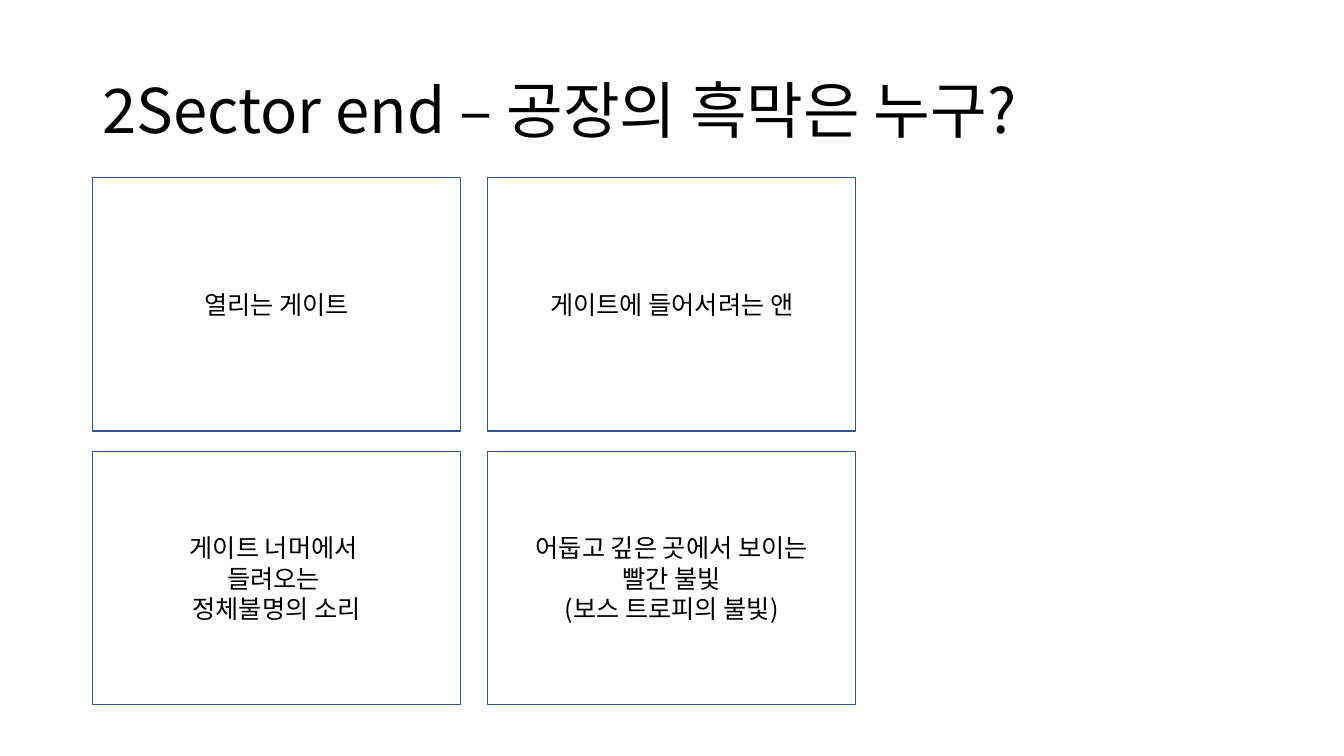
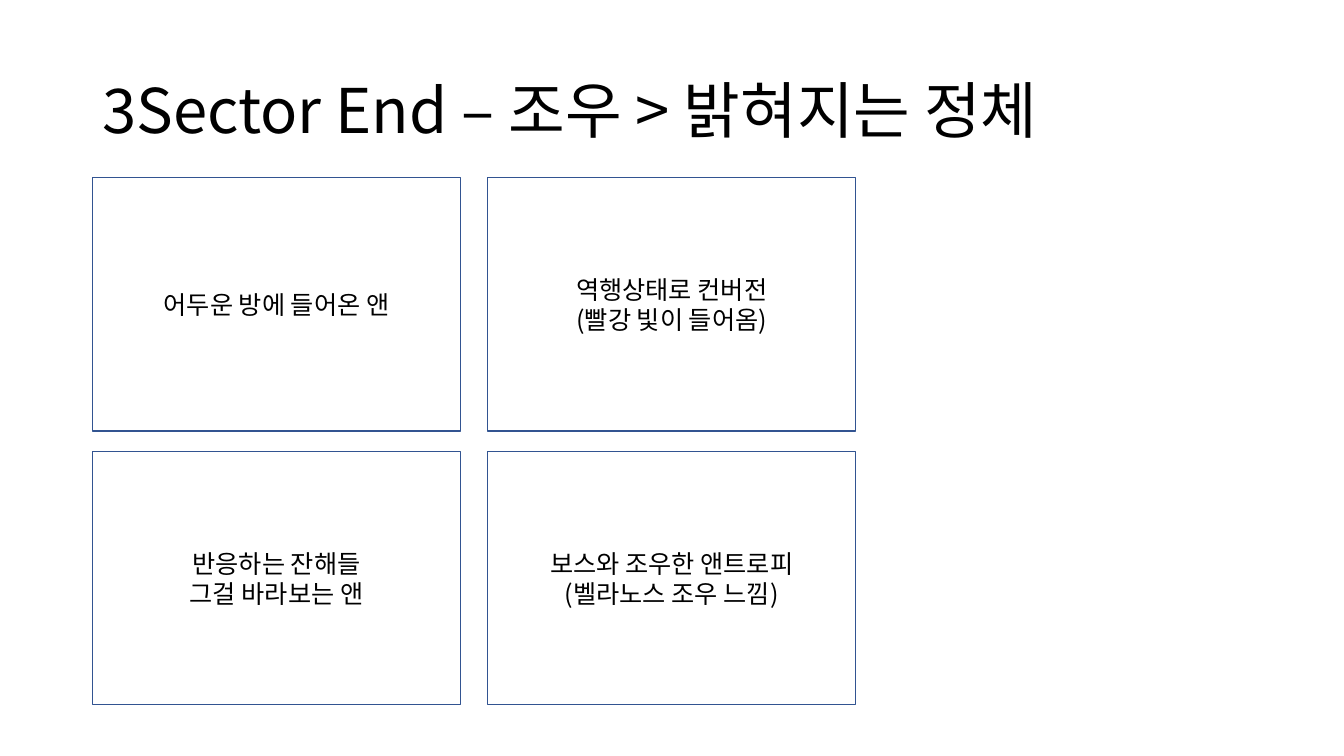
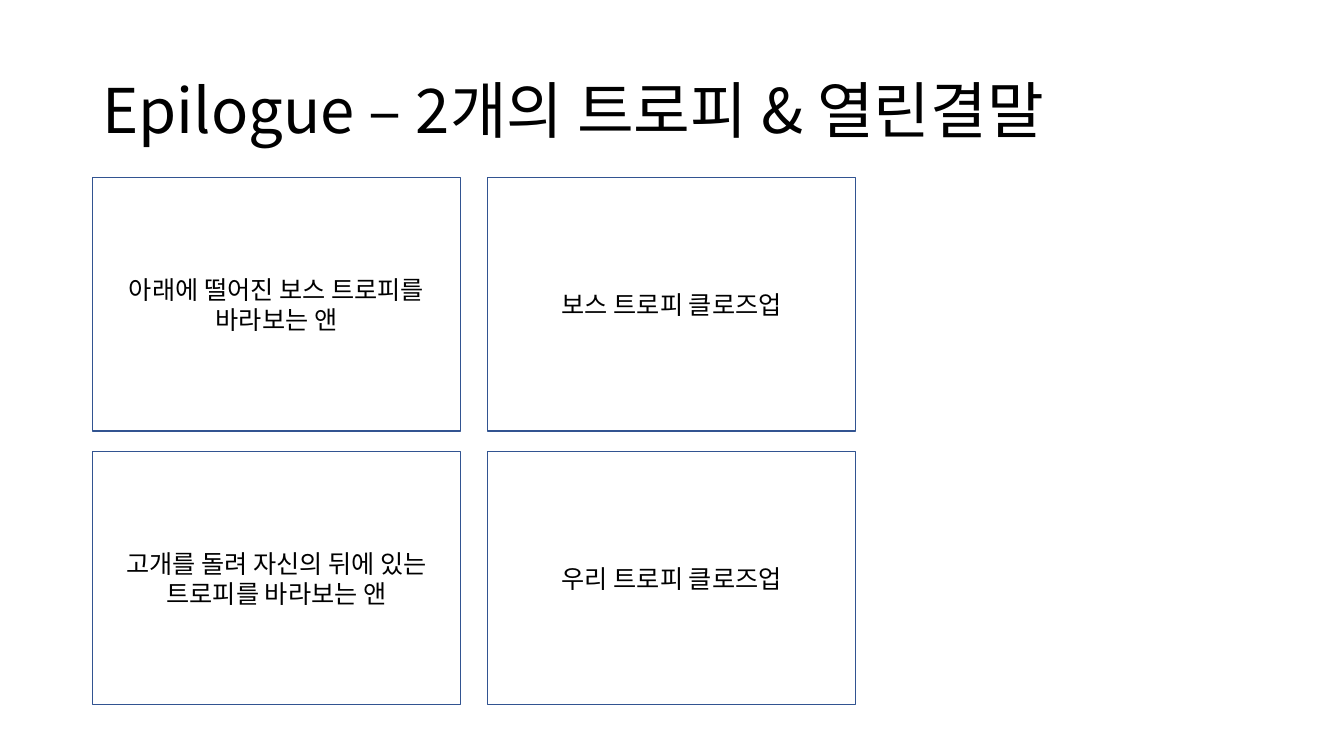
from lxml import etree
from pptx import Presentation
from pptx.dml.color import RGBColor
from pptx.enum import shapes, text
from pptx.oxml import ns
from pptx.util import Pt

# Content: one title and four storyboard scenes per slide, row by row
STORYBOARDS = [
    ("2Sector end – 공장의 흑막은 누구?", [
        ["열리는 게이트"],
        ["게이트에 들어서려는 앤"],
        ["게이트 너머에서 ", "들려오는 ", "정체불명의 소리"],
        ["어둡고 깊은 곳에서 보이는", "빨간 불빛", "(보스 트로피의 불빛)"],
    ]),
    ("3Sector End – 조우 > 밝혀지는 정체", [
        ["어두운 방에 들어온 앤"],
        ["역행상태로 컨버전", "(빨강 빛이 들어옴)"],
        ["반응하는 잔해들", "그걸 바라보는 앤"],
        ["보스와 조우한 앤트로피", "(벨라노스 조우 느낌)"],
    ]),
    ("Epilogue – 2개의 트로피 & 열린결말", [
        ["아래에 떨어진 보스 트로피를 바라보는 앤"],
        ["보스 트로피 클로즈업"],
        ["고개를 돌려 자신의 뒤에 있는 트로피를 바라보는 앤"],
        ["우리 트로피 클로즈업"],
    ]),
]

# Shared style, lengths in points
FONT = "Noto Sans CJK KR"
INK, FRAME, PAPER = "000000", "325491", "FFFFFF"
SLIDE_W, SLIDE_H = 960, 540
LEFT = 66
TITLE_TOP, TITLE_W, TITLE_H = 28.75, 828, 104.4
GRID_TOP, COLUMNS = 126.8, 2
SCENE_W, SCENE_H = 263, 181
STEP_X, STEP_Y = 282.3, 195.6


def color(hex_code):
    return RGBColor.from_string(hex_code)


def place(shape, left, top, width, height):
    shape.left, shape.top = Pt(left), Pt(top)
    shape.width, shape.height = Pt(width), Pt(height)


def write(shape, lines, size, align, spacing=1.0):
    frame = shape.text_frame
    frame.word_wrap = True
    frame.auto_size = text.MSO_AUTO_SIZE.NONE
    frame.vertical_anchor = text.MSO_ANCHOR.MIDDLE
    for number, line in enumerate(lines):
        paragraph = frame.add_paragraph() if number else frame.paragraphs[0]
        paragraph.alignment = align
        paragraph.line_spacing = spacing
        run = paragraph.add_run()
        run.text = line
        run.font.size = Pt(size)
        run.font.name = FONT
        run.font.color.rgb = color(INK)
        # Korean glyphs take their font from the East Asian setting
        east_asian = etree.SubElement(run.font._element, ns.qn("a:ea"))
        east_asian.set("typeface", FONT)


def add_title(slide, heading):
    title = slide.shapes.title
    place(title, LEFT, TITLE_TOP, TITLE_W, TITLE_H)
    write(title, [heading], 44, text.PP_ALIGN.LEFT, 0.9)


def add_scene(slide, index, lines):
    row, column = divmod(index, COLUMNS)
    scene = slide.shapes.add_shape(
        shapes.MSO_SHAPE.RECTANGLE,
        Pt(LEFT + column * STEP_X), Pt(GRID_TOP + row * STEP_Y),
        Pt(SCENE_W), Pt(SCENE_H))
    scene.shadow.inherit = False
    scene.fill.background()
    scene.line.color.rgb = color(FRAME)
    scene.line.width = Pt(1)
    write(scene, lines, 18, text.PP_ALIGN.CENTER)


# Build the deck
deck = Presentation()
deck.slide_width, deck.slide_height = Pt(SLIDE_W), Pt(SLIDE_H)
backdrop = deck.slide_master.background.fill
backdrop.solid()
backdrop.fore_color.rgb = color(PAPER)
title_only = deck.slide_layouts.get_by_name("Title Only")

for heading, scenes in STORYBOARDS:
    slide = deck.slides.add_slide(title_only)
    add_title(slide, heading)
    for index, lines in enumerate(scenes):
        add_scene(slide, index, lines)

deck.save("out.pptx")
